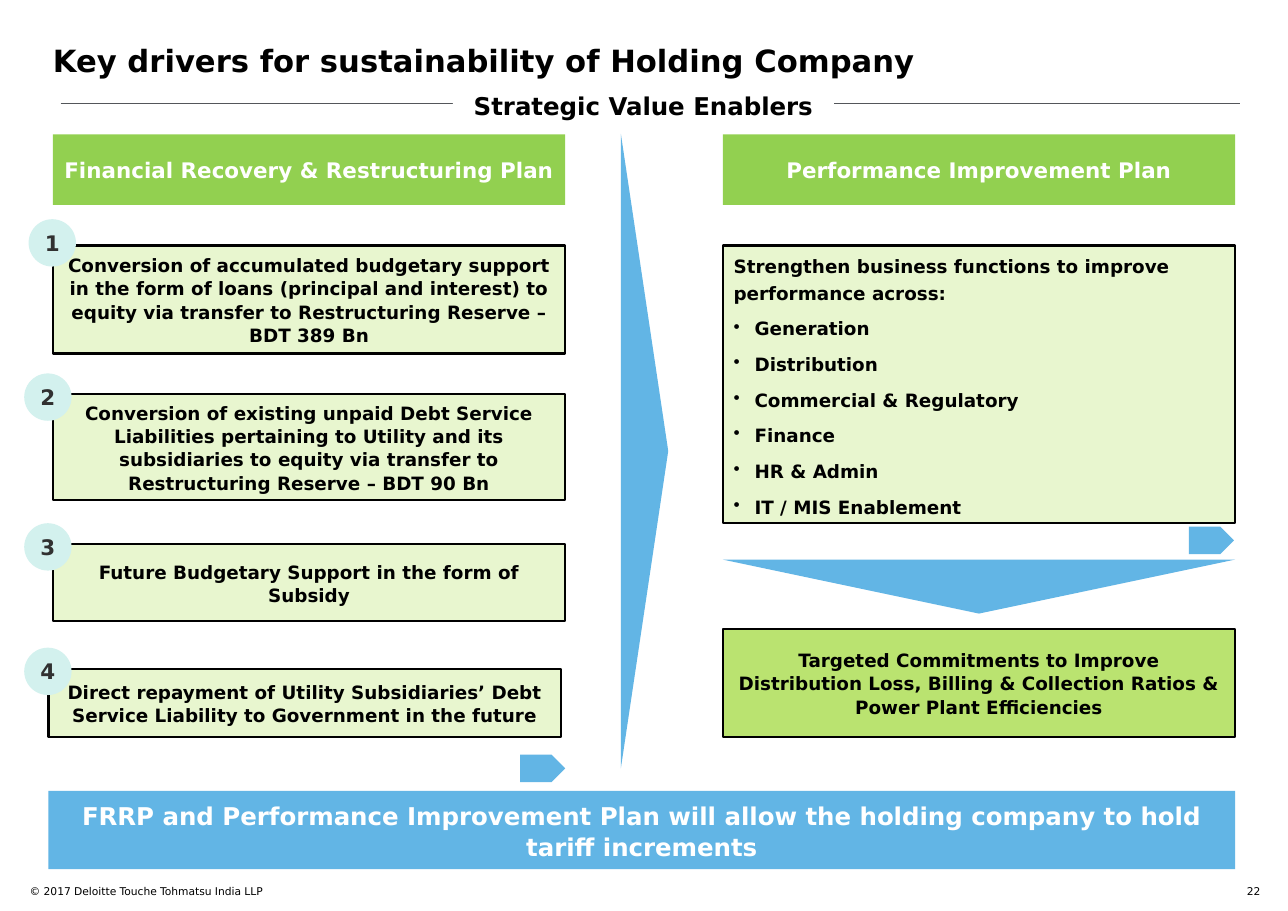
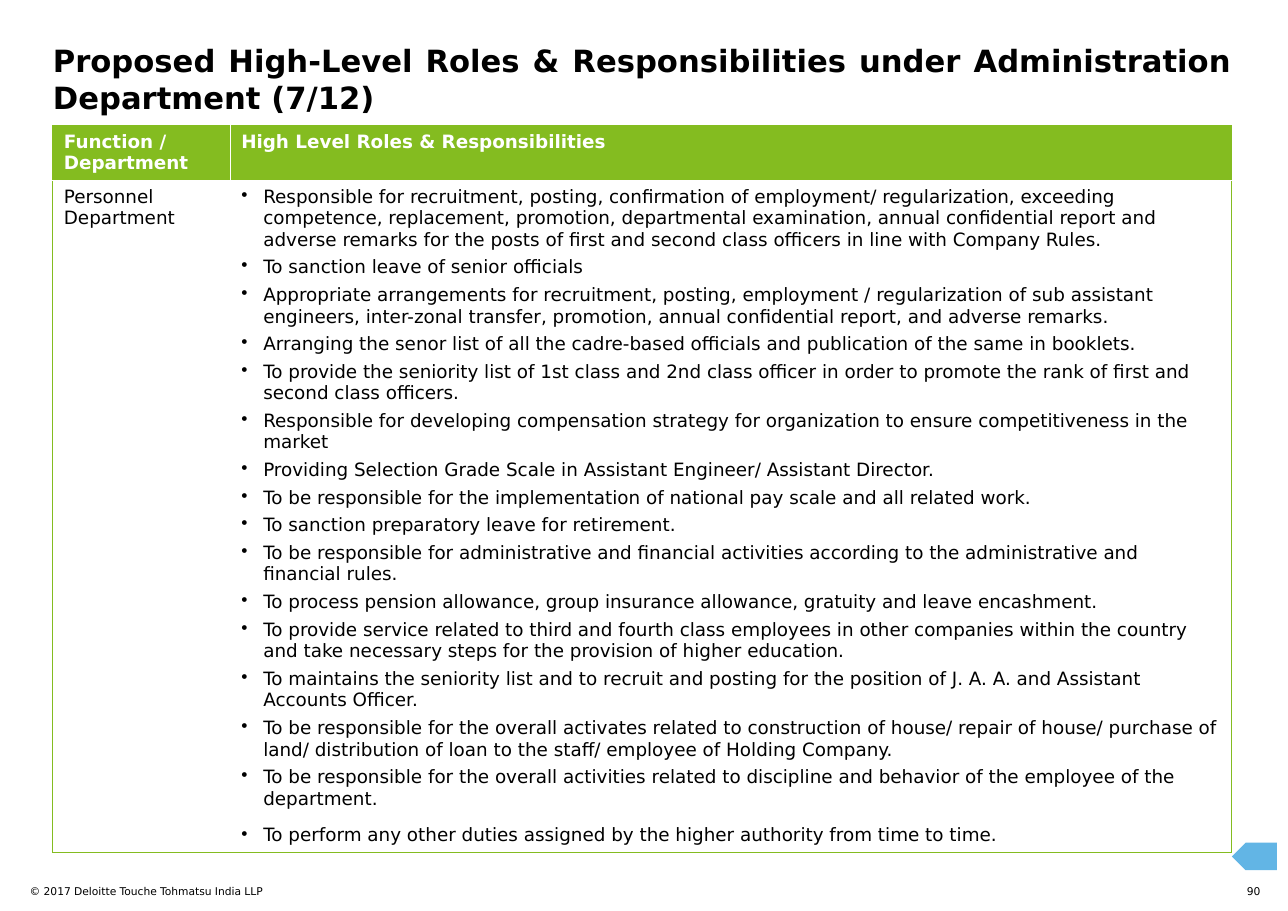
from dataclasses import dataclass

from lxml.etree import SubElement
from pptx import Presentation
from pptx.dml.color import RGBColor
from pptx.enum.shapes import MSO_CONNECTOR, MSO_SHAPE as Preset
from pptx.enum.text import MSO_ANCHOR as Anchor, MSO_AUTO_SIZE as AutoSize, PP_ALIGN as Align
from pptx.oxml.ns import qn
from pptx.util import Inches, Pt


@dataclass(frozen=True)
class Theme:
    font: str = "DejaVu Sans"
    black: str = "000000"
    white: str = "FFFFFF"
    blue: str = "62B5E5"
    header_green: str = "92D050"
    table_green: str = "84BC20"
    pale_green: str = "E8F6CF"
    target_green: str = "BAE370"
    badge_fill: str = "D3F1EE"
    badge_text: str = "313131"
    rule: str = "53565A"
    title: int = 20
    banner: int = 16
    heading: int = 14
    body: int = 12
    footer: int = 7
    copyright: str = "© 2017 Deloitte Touche Tohmatsu India LLP"


@dataclass(frozen=True)
class Box:
    left: float
    top: float
    width: float
    height: float

    @property
    def lengths(self):
        return tuple(Inches(n) for n in (self.left, self.top, self.width, self.height))


@dataclass(frozen=True)
class Step:
    text: str
    left: float
    top: float
    height: float
    badge_left: float
    badge_top: float


THEME = Theme()
LEFT, RIGHT, COLUMN_WIDTH = 0.48, 6.56, 4.65
BADGE = 0.43

STEPS = (
    Step("Conversion of accumulated budgetary support in the form of loans (principal and "
         "interest) to equity via transfer to Restructuring Reserve – BDT 389 Bn",
         LEFT, 2.23, 0.98, 0.26, 1.99),
    Step("Conversion of existing unpaid Debt Service Liabilities pertaining to Utility and its "
         "subsidiaries to equity via transfer to Restructuring Reserve – BDT 90 Bn",
         LEFT, 3.58, 0.96, 0.22, 3.39),
    Step("Future Budgetary Support in the form of Subsidy", LEFT, 4.94, 0.7, 0.22, 4.75),
    Step("Direct repayment of Utility Subsidiaries’ Debt Service Liability to Government in the "
         "future", 0.44, 6.07, 0.62, 0.22, 5.88),
)

FUNCTIONS = ("Generation", "Distribution", "Commercial & Regulatory", "Finance", "HR & Admin",
             "IT / MIS Enablement")

DUTIES = (
    "Responsible for recruitment, posting, confirmation of employment/ regularization, exceeding "
    "competence, replacement, promotion, departmental examination, annual confidential report "
    "and adverse remarks for the posts of first and second class officers in line with Company "
    "Rules.",
    "To sanction leave of senior officials",
    "Appropriate arrangements for recruitment, posting, employment / regularization of sub "
    "assistant engineers, inter-zonal transfer, promotion, annual confidential report, and "
    "adverse remarks.",
    "Arranging the senor list of all the cadre-based officials and publication of the same in "
    "booklets.",
    "To provide the seniority list of 1st class and 2nd class officer in order to promote the "
    "rank of first and second class officers.",
    "Responsible for developing compensation strategy for organization to ensure "
    "competitiveness in the market",
    "Providing Selection Grade Scale in Assistant Engineer/ Assistant Director.",
    "To be responsible for the implementation of national pay scale and all related work.",
    "To sanction preparatory leave for retirement.",
    "To be responsible for administrative and financial activities according to the "
    "administrative and financial rules.",
    "To process pension allowance, group insurance allowance, gratuity and leave encashment.",
    "To provide service related to third and fourth class employees in other companies within "
    "the country and take necessary steps for the provision of higher education.",
    "To maintains the seniority list and to recruit and posting for the position of J. A. A. "
    "and Assistant Accounts Officer.",
    "To be responsible for the overall activates related to construction of house/ repair of "
    "house/ purchase of land/ distribution of loan to the staff/ employee of Holding Company.",
    "To be responsible for the overall activities related to discipline and behavior of the "
    "employee of the department.",
    "To perform any other duties assigned by the higher authority from time to time.",
)


def rgb(color: str) -> RGBColor:
    return RGBColor.from_string(color)


def write(frame, text: str, *, size: int = THEME.body, color: str = THEME.black,
          bold: bool = False, align: Align = Align.LEFT, line_spacing: float = 1.0,
          before: float = 0, bullet_indent: float = 0):
    """Fill the frame's empty first paragraph, or add one after it; return the paragraph."""
    paragraph = frame.paragraphs[0]
    is_first = not paragraph.runs
    if not is_first:
        paragraph = frame.add_paragraph()
    if bullet_indent:
        properties = paragraph._p.get_or_add_pPr()
        properties.set("marL", str(Inches(bullet_indent)))
        properties.set("indent", str(-Inches(bullet_indent)))
        SubElement(properties, qn("a:buChar"), char="•")
    paragraph.alignment = align
    paragraph.line_spacing = line_spacing
    paragraph.space_before = Pt(0 if is_first else before)
    run = paragraph.add_run()
    run.text = text
    run.font.name = THEME.font
    run.font.size = Pt(size)
    run.font.bold = bold
    run.font.color.rgb = rgb(color)
    return paragraph


def prepare_frame(shape, inset: float, anchor: Anchor):
    frame = shape.text_frame
    frame.word_wrap = True
    frame.auto_size = AutoSize.NONE
    frame.vertical_anchor = anchor
    frame.margin_left = frame.margin_right = Inches(inset)
    frame.margin_top = frame.margin_bottom = Inches(inset)
    return frame


def add_preset(slide, preset: Preset, box: Box, fill: str, *, outlined: bool = False,
               rotation: float = 0):
    shape = slide.shapes.add_shape(preset, *box.lengths)
    shape.shadow.inherit = False
    shape.rotation = rotation
    shape.fill.solid()
    shape.fill.fore_color.rgb = rgb(fill)
    if outlined:
        shape.line.color.rgb = rgb(THEME.black)
        shape.line.width = Pt(1.5)
    else:
        shape.line.fill.background()
    return shape


def add_panel(slide, box: Box, fill: str, text: str, *, outlined: bool = False,
              **text_format) -> None:
    shape = add_preset(slide, Preset.RECTANGLE, box, fill, outlined=outlined)
    write(prepare_frame(shape, 0.1, Anchor.MIDDLE), text, bold=True, align=Align.CENTER,
          line_spacing=1.06, **text_format)


def add_marker(slide, left: float, top: float, rotation: float = 0) -> None:
    """Small blue pentagon arrow."""
    add_preset(slide, Preset.PENTAGON, Box(left, top, 0.41, 0.25), THEME.blue, rotation=rotation)


def add_base_slide(presentation, title: str, title_box: Box, number: int,
                   title_align: Align = Align.LEFT):
    """Add a slide with its title, copyright line and page number."""
    slide = presentation.slides.add_slide(presentation.slide_layouts[5])
    placeholder = slide.shapes.title
    placeholder.left, placeholder.top, placeholder.width, placeholder.height = title_box.lengths
    write(prepare_frame(placeholder, 0, Anchor.TOP), title, size=THEME.title, bold=True,
          align=title_align)
    for text, box, align in (
        (THEME.copyright, Box(0.27, 8.03, 5.13, 0.24), Align.LEFT),
        (str(number), Box(11.14, 8.03, 0.3, 0.12), Align.RIGHT),
    ):
        footer = slide.shapes.add_textbox(*box.lengths)
        write(prepare_frame(footer, 0, Anchor.TOP), text, size=THEME.footer, align=align)
    return slide


def add_step(slide, number: int, step: Step) -> None:
    add_panel(slide, Box(step.left, step.top, COLUMN_WIDTH, step.height), THEME.pale_green,
              step.text, outlined=True)
    badge = add_preset(slide, Preset.OVAL, Box(step.badge_left, step.badge_top, BADGE, BADGE),
                       THEME.badge_fill)
    write(prepare_frame(badge, 0, Anchor.MIDDLE), str(number), size=THEME.heading,
          color=THEME.badge_text, bold=True, align=Align.CENTER)


def add_drivers_slide(presentation) -> None:
    slide = add_base_slide(presentation, "Key drivers for sustainability of Holding Company",
                           Box(LEFT, 0.38, 10.73, 0.83), 22)

    rule = slide.shapes.add_connector(MSO_CONNECTOR.STRAIGHT, Inches(0.55), Inches(0.94),
                                      Inches(11.25), Inches(0.94))
    rule.line.color.rgb = rgb(THEME.rule)
    rule.line.width = Pt(0.75)
    SubElement(rule._element.spPr, qn("a:effectLst"))
    add_panel(slide, Box(4.11, 0.72, 3.46, 0.47), THEME.white, "Strategic Value Enablers",
              size=THEME.banner)

    for left, heading in ((LEFT, "Financial Recovery & Restructuring Plan"),
                          (RIGHT, "Performance Improvement Plan")):
        add_panel(slide, Box(left, 1.22, COLUMN_WIDTH, 0.64), THEME.header_green, heading,
                  size=THEME.heading, color=THEME.white)
    for number, step in enumerate(STEPS, start=1):
        add_step(slide, number, step)

    functions = add_preset(slide, Preset.RECTANGLE, Box(RIGHT, 2.23, COLUMN_WIDTH, 2.52),
                           THEME.pale_green, outlined=True)
    frame = prepare_frame(functions, 0.1, Anchor.MIDDLE)
    write(frame, "Strengthen business functions to improve performance across:", bold=True,
          line_spacing=1.2)
    for function in FUNCTIONS:
        write(frame, function, bold=True, line_spacing=1.2, before=6, bullet_indent=0.19)

    add_preset(slide, Preset.ISOSCELES_TRIANGLE, Box(2.97, 3.88, 5.76, 0.43), THEME.blue,
               rotation=90)
    add_preset(slide, Preset.ISOSCELES_TRIANGLE, Box(RIGHT, 5.08, COLUMN_WIDTH, 0.49),
               THEME.blue, rotation=180)
    add_panel(slide, Box(RIGHT, 5.71, COLUMN_WIDTH, 0.98), THEME.target_green,
              "Targeted Commitments to Improve Distribution Loss, Billing & Collection Ratios & "
              "Power Plant Efficiencies", outlined=True)
    add_panel(slide, Box(0.44, 7.18, 10.77, 0.71), THEME.blue,
              "FRRP and Performance Improvement Plan will allow the holding company to hold "
              "tariff increments", size=THEME.banner, color=THEME.white)
    add_marker(slide, 4.72, 6.85)
    add_marker(slide, 10.79, 4.78)


def format_cell(cell, fill: str, sides: str) -> None:
    """Fill a cell and draw green borders on the given sides, in L, R, T, B order."""
    properties = cell._tc.get_or_add_tcPr()
    for side in sides:
        line = SubElement(properties, qn(f"a:ln{side}"), w=str(Pt(0.75)))
        SubElement(SubElement(line, qn("a:solidFill")), qn("a:srgbClr"), val=THEME.table_green)
    cell.fill.solid()
    cell.fill.fore_color.rgb = rgb(fill)


def add_roles_slide(presentation) -> None:
    slide = add_base_slide(
        presentation,
        "Proposed High-Level Roles & Responsibilities under Administration Department (7/12)",
        Box(LEFT, 0.38, 10.7, 0.4), 90, Align.JUSTIFY)

    table = slide.shapes.add_table(2, 2, *Box(LEFT, 1.14, 10.7, 6.6).lengths).table
    table.first_row = table.horz_banding = False
    for column, width in zip(table.columns, (1.61, 9.09)):
        column.width = Inches(width)
    for row, height in zip(table.rows, (0.5, 6.1)):
        row.height = Inches(height)

    headings = ("Function / Department", "High Level Roles & Responsibilities")
    for column, (heading, side) in enumerate(zip(headings, "LR")):
        header = table.cell(0, column)
        format_cell(header, THEME.table_green, side + "T")
        write(header.text_frame, heading, color=THEME.white, bold=True)
        format_cell(table.cell(1, column), THEME.white, side + "TB")

    write(table.cell(1, 0).text_frame, "Personnel Department")
    duties_frame = table.cell(1, 1).text_frame
    for duty in DUTIES:
        write(duties_frame, duty, before=4, bullet_indent=0.2)
    duties_frame.paragraphs[-2].space_after = Pt(6)

    add_marker(slide, 11.18, 7.65, rotation=180)


def main() -> None:
    presentation = Presentation()
    presentation.slide_width = Inches(11.69)
    presentation.slide_height = Inches(8.27)
    add_drivers_slide(presentation)
    add_roles_slide(presentation)
    presentation.save("out.pptx")


if __name__ == "__main__":
    main()
